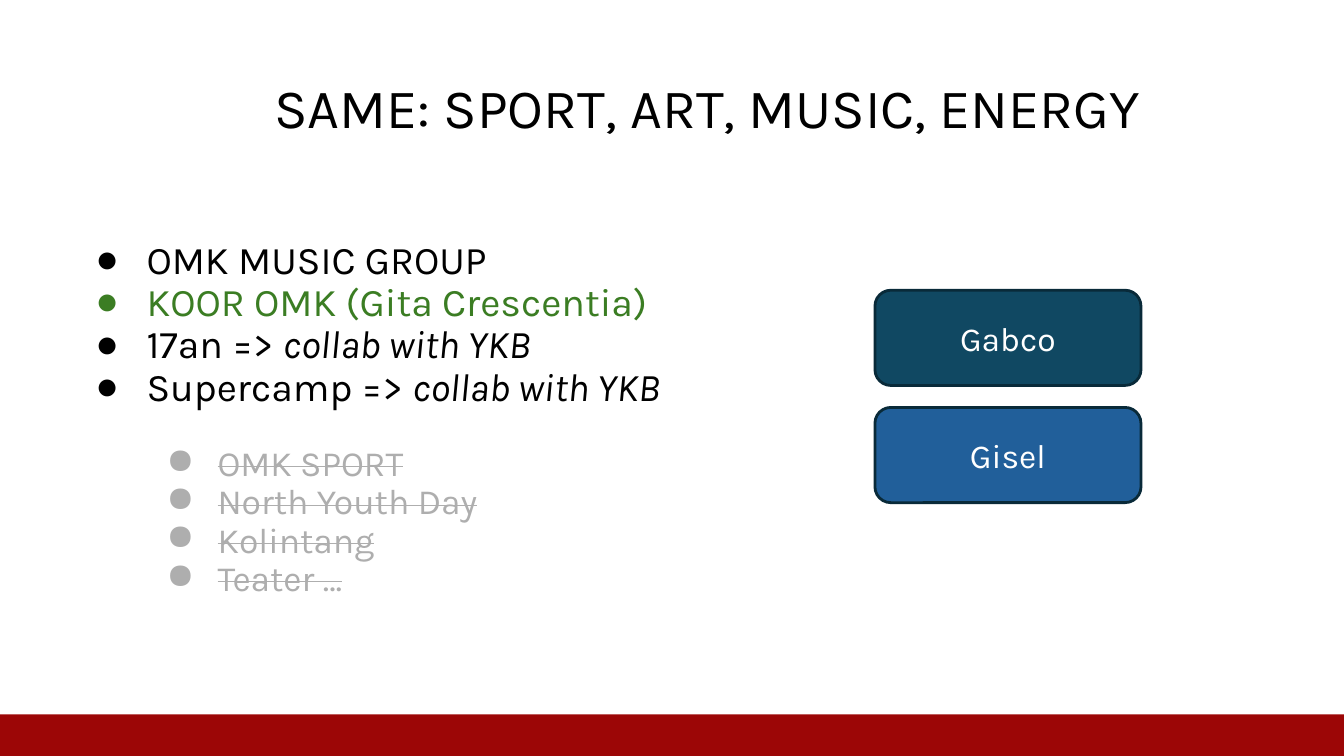
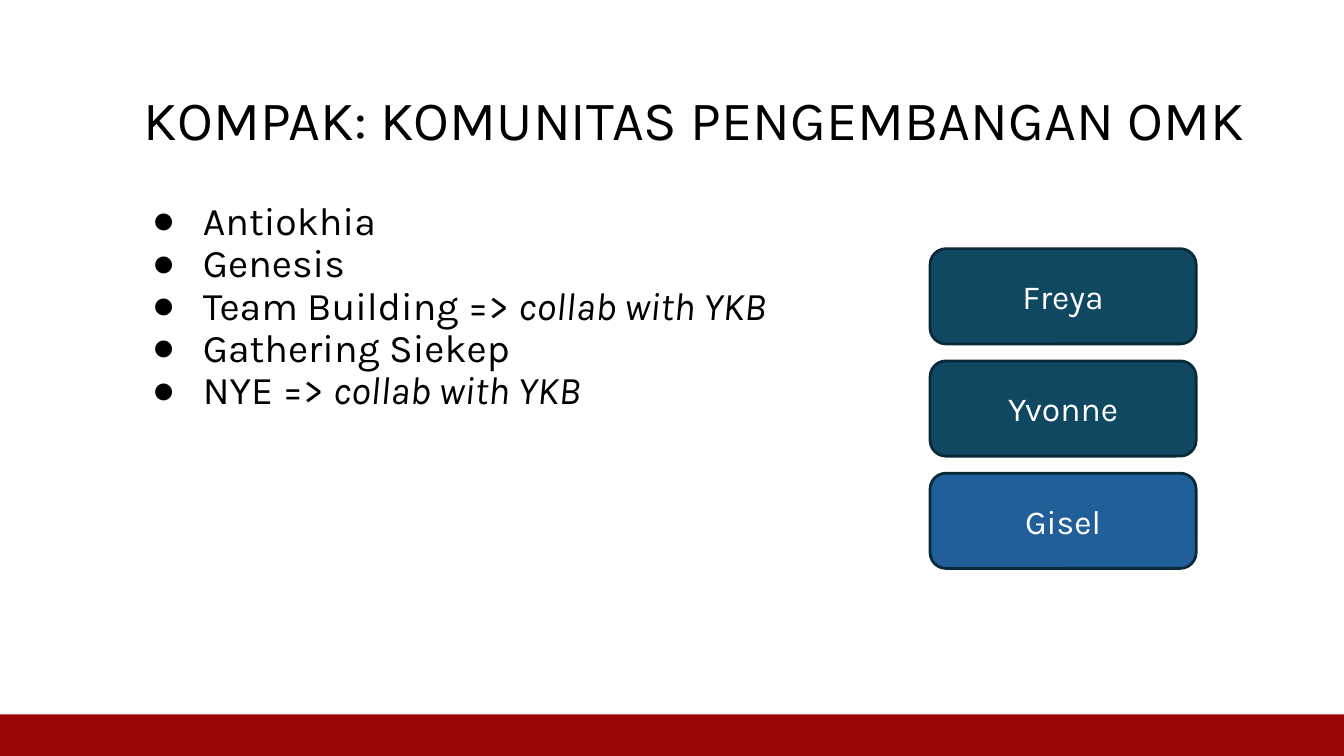
"""Builds two slides on youth community activities and the people in charge."""
import lxml.etree
import pptx
import pptx.dml.color
import pptx.enum.shapes
import pptx.enum.text
import pptx.oxml.ns
import pptx.util

FONT = "Karla"
BLACK, WHITE, GREEN, GRAY = "000000", "FFFFFF", "3B7D23", "AEAEAE"
RED, TEAL, BLUE, NAVY = "9C0606", "104862", "215F9A", "092A39"
COLLAB = "collab with YKB"
TEXT_WIDTH, TITLE_HEIGHT, LIST_HEIGHT = 93.2, 11.2, 28.3
CARD_WIDTH, CARD_HEIGHT = 19.8, 12.6

color = pptx.dml.color.RGBColor.from_string
deck = pptx.Presentation()
deck.slide_width = pptx.util.Inches(10)
deck.slide_height = pptx.util.Inches(5.625)
column, row = deck.slide_width / 100, deck.slide_height / 100


def area(left, top, width, height):
    """Turn hundredths of the slide's size into lengths."""
    return int(left * column), int(top * row), int(width * column), int(height * row)


def write(box, text, note="", size=21, fill=BLACK, align="LEFT", spacing=0.9,
          bullet=False, strike=False):
    """Add a paragraph of text, with an optional note in italics."""
    frame = box.text_frame
    frame.word_wrap = True
    frame.auto_size = pptx.enum.text.MSO_AUTO_SIZE.NONE
    frame.margin_left = frame.margin_right = pptx.util.Inches(0.1)
    frame.margin_top = frame.margin_bottom = pptx.util.Inches(0.1)
    para = frame.add_paragraph() if frame.text else frame.paragraphs[0]
    para.alignment = getattr(pptx.enum.text.PP_ALIGN, align)
    para.line_spacing = spacing
    para.space_before = para.space_after = pptx.util.Pt(0)
    for words, italic in ((text, False), (note, True)):
        if words:
            span = para.add_run()
            span.text = words
            span.font.name = FONT
            span.font.size = pptx.util.Pt(size)
            span.font.italic = italic
            span.font.color.rgb = color(fill)
            if strike:
                span._r.get_or_add_rPr().set("strike", "sngStrike")
    if bullet:
        layout = para._p.get_or_add_pPr()
        layout.set("marL", str(pptx.util.Inches(0.5)))
        layout.set("indent", str(pptx.util.Inches(-0.38)))
        mark = lxml.etree.SubElement(layout, pptx.oxml.ns.qn("a:buChar"))
        mark.set("char", "●")


pages = [
    {
        "title": ("SAME: SPORT, ART, MUSIC, ENERGY", 19.4, 8.9),
        "list": (4.9, 30, LIST_HEIGHT),
        "items": [
            ("OMK MUSIC GROUP", "", BLACK),
            ("KOOR OMK (Gita Crescentia)", "", GREEN),
            ("17an => ", COLLAB, BLACK),
            ("Supercamp => ", COLLAB, BLACK),
        ],
        "dropped": ["OMK SPORT", "North Youth Day", "Kolintang", "Teater …"],
        "cards": (65.1, 38.4, 15.5),
        "people": [("Gabco", TEAL), ("Gisel", BLUE)],
    },
    {
        "title": ("KOMPAK: KOMUNITAS PENGEMBANGAN OMK", 9.7, 10.5),
        "list": (9.1, 24.9, 66.5),
        "items": [
            ("Antiokhia", "", BLACK),
            ("Genesis", "", BLACK),
            ("Team Building => ", COLLAB, BLACK),
            ("Gathering Siekep", "", BLACK),
            ("NYE => ", COLLAB, BLACK),
        ],
        "dropped": [],
        "cards": (69.2, 32.9, 14.85),
        "people": [("Freya", TEAL), ("Yvonne", TEAL), ("Gisel", BLUE)],
    },
]

for content in pages:
    page = deck.slides.add_slide(deck.slide_layouts[1])
    page.background.fill.solid()
    page.background.fill.fore_color.rgb = color(WHITE)

    heading, left, top = content["title"]
    title = page.shapes.title
    title.left, title.top, title.width, title.height = area(left, top, TEXT_WIDTH, TITLE_HEIGHT)
    title.text_frame.vertical_anchor = pptx.enum.text.MSO_ANCHOR.TOP
    write(title, heading, size=29.7)

    left, top, height = content["list"]
    body = page.placeholders[1]
    body.left, body.top, body.width, body.height = area(left, top, TEXT_WIDTH, height)
    body.text_frame.vertical_anchor = pptx.enum.text.MSO_ANCHOR.TOP
    for text, note, fill in content["items"]:
        write(body, text, note=note, fill=fill, bullet=True)

    band = page.shapes.add_shape(pptx.enum.shapes.MSO_SHAPE.RECTANGLE, *area(0, 94.5, 100, 5.5))
    band.shadow.inherit = False
    band.fill.solid()
    band.fill.fore_color.rgb = color(RED)
    band.line.fill.background()

    if content["dropped"]:
        box = page.shapes.add_textbox(*area(10.2, 57.2, TEXT_WIDTH, LIST_HEIGHT))
        for text in content["dropped"]:
            write(box, text, size=19, fill=GRAY, bullet=True, strike=True)

    left, top, pitch = content["cards"]
    for index, (name, fill) in enumerate(content["people"]):
        card = page.shapes.add_shape(
            pptx.enum.shapes.MSO_SHAPE.ROUNDED_RECTANGLE,
            *area(left, top + index * pitch, CARD_WIDTH, CARD_HEIGHT))
        card.shadow.inherit = False
        card.fill.solid()
        card.fill.fore_color.rgb = color(fill)
        card.line.color.rgb = color(NAVY)
        card.line.width = pptx.util.Pt(1.5)
        card.text_frame.vertical_anchor = pptx.enum.text.MSO_ANCHOR.MIDDLE
        write(card, name, size=18, fill=WHITE, align="CENTER", spacing=1.0)

deck.save("out.pptx")
